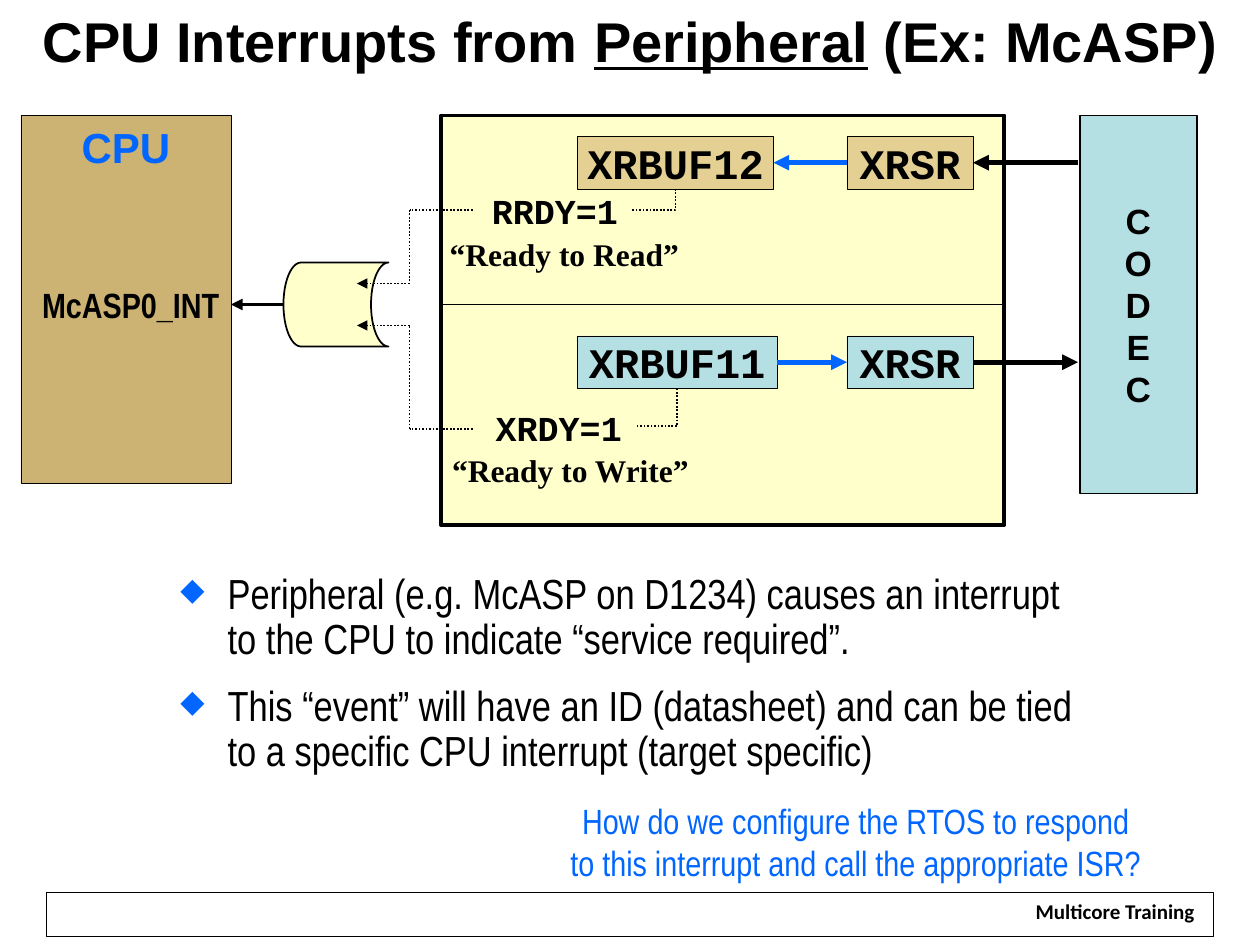
from pptx import Presentation, util as u
from pptx.dml.color import RGBColor
from pptx.enum import dml, shapes, text
from pptx.oxml.ns import qn
from lxml import etree

BLACK, BLUE, WHITE = "000000", "0066FF", "FFFFFF"
CREAM, TAN, SAND, AQUA = "FFFFCC", "CCB374", "E5D093", "B5E0E3"
CENTER, LEFT, RIGHT = (text.PP_ALIGN.CENTER, text.PP_ALIGN.LEFT,
                       text.PP_ALIGN.RIGHT)
TOP, MIDDLE = text.MSO_ANCHOR.TOP, text.MSO_ANCHOR.MIDDLE
KINDS = shapes.MSO_SHAPE


def color(hex_string):
    return RGBColor.from_string(hex_string)


def add_bullet(paragraph, indent):
    properties = paragraph._p.get_or_add_pPr()
    properties.set("marL", str(u.Pt(indent)))
    properties.set("indent", str(-u.Pt(indent)))
    bullet_color = etree.SubElement(properties, qn("a:buClr"))
    etree.SubElement(bullet_color, qn("a:srgbClr"), val=BLUE)
    etree.SubElement(properties, qn("a:buSzPct"), val="75000")
    etree.SubElement(properties, qn("a:buChar"), char="◆")


def write(frame, content, size=20, font="Arial", ink=BLACK, bold=True,
          align=CENTER, anchor=MIDDLE, wrap=False, insets=(7.2, 3.6),
          spacing=None, before=0, bullet_indent=None, underlined=None):
    """Fill a frame; content is a string or a list of paragraph strings."""
    frame.word_wrap = wrap
    frame.vertical_anchor = anchor
    frame.margin_left = frame.margin_right = u.Pt(insets[0])
    frame.margin_top = frame.margin_bottom = u.Pt(insets[1])
    lines = [content] if isinstance(content, str) else content
    for index, line in enumerate(lines):
        paragraph = frame.add_paragraph() if index else frame.paragraphs[0]
        paragraph.alignment = align
        if spacing:
            paragraph.line_spacing = spacing
        if index and before:
            paragraph.space_before = u.Pt(before)
        if bullet_indent:
            add_bullet(paragraph, bullet_indent)
        if underlined:
            for part in line.partition(underlined):
                run = paragraph.add_run()
                run.text = part
                run.font.underline = part == underlined
        else:
            paragraph.text = line
        for run in paragraph.runs:
            run.font.size = u.Pt(size)
            run.font.name = font
            run.font.bold = bold
            run.font.color.rgb = color(ink)


class Diagram:
    """Draws styled elements on one slide, with lengths in points."""

    def __init__(self, slide):
        self.shapes = slide.shapes

    def box(self, area, fill=None, line_width=0.25, content=None,
            kind=KINDS.RECTANGLE, **style):
        shape = self.shapes.add_shape(kind, *map(u.Pt, area))
        shape.shadow.inherit = False
        if fill:
            shape.fill.solid()
            shape.fill.fore_color.rgb = color(fill)
        else:
            shape.fill.background()
        if line_width:
            shape.line.color.rgb = color(BLACK)
            shape.line.width = u.Pt(line_width)
        else:
            shape.line.fill.background()
        if content:
            write(shape.text_frame, content, **style)
        return shape

    def label(self, area, content, **style):
        box = self.shapes.add_textbox(*map(u.Pt, area))
        write(box.text_frame, content, **style)

    def line(self, start, end, ink=BLACK, width=1.0, dotted=False,
             arrow=False, begin=None, finish=None,
             kind=shapes.MSO_CONNECTOR.STRAIGHT):
        """Draw a line; begin and finish are (shape, side) joints."""
        connector = self.shapes.add_connector(
            kind, *map(u.Pt, (*start, *end)))
        connector.line.color.rgb = color(ink)
        connector.line.width = u.Pt(width)
        if dotted:
            connector.line.dash_style = dml.MSO_LINE.ROUND_DOT
        if arrow:
            etree.SubElement(connector.line._get_or_add_ln(),
                             qn("a:tailEnd"), type="triangle")
        etree.SubElement(connector._element.spPr, qn("a:effectLst"))
        if begin:
            connector.begin_connect(*begin)
        if finish:
            connector.end_connect(*finish)
        return connector

    def corner(self, start, end):
        """Draw a dotted elbow that goes down from start, then left to end."""
        (right, top), (left, bottom) = start, end
        width, height = bottom - top, right - left
        x = (left + right - width) / 2
        y = (top + bottom - height) / 2
        connector = self.line((x, y), (x + width, y + height), dotted=True,
                              kind=shapes.MSO_CONNECTOR.ELBOW)
        properties = connector._element.spPr
        properties.find(qn("a:prstGeom")).set("prst", "bentConnector2")
        properties.find(qn("a:xfrm")).set("rot", "5400000")


def draw_register_row(diagram, y, name, width, fill, receiving):
    style = dict(size=24, font="Courier New")
    buffer = diagram.box((330, y, width, 30), fill, content=name, **style)
    shifter = diagram.box((484, y, 72, 30), fill, content="XRSR", **style)
    middle = y + 15
    buffer_end, shifter_end = (330 + width, middle), (484, middle)
    outer, codec = (556, middle), (616, middle)
    if receiving:
        diagram.line(shifter_end, buffer_end, BLUE, 3, arrow=True,
                     begin=(shifter, 1), finish=(buffer, 3))
        diagram.line(codec, outer, width=3, arrow=True, finish=(shifter, 3))
    else:
        diagram.line(buffer_end, shifter_end, BLUE, 3, arrow=True,
                     begin=(buffer, 3), finish=(shifter, 1))
        diagram.line(outer, codec, width=3, arrow=True, begin=(shifter, 3))


def main():
    presentation = Presentation()
    presentation.slide_width, presentation.slide_height = u.Pt(720), u.Pt(540)
    slide = presentation.slides.add_slide(presentation.slide_layouts[6])
    diagram = Diagram(slide)

    diagram.box((26.6, 509.8, 666.7, 25.2), line_width=0.75)
    diagram.box((583.9, 512.6, 106.6, 18.7), WHITE, 0, "Multicore Training",
                size=12, font="Calibri", anchor=TOP, spacing=0.8)
    diagram.label((0, 0, 720, 58), "CPU Interrupts from Peripheral (Ex: McASP)",
                  size=32, anchor=TOP, wrap=True, underlined="Peripheral")

    diagram.box((252, 66, 322, 234), CREAM, 2.25)
    diagram.line((252, 174), (574, 174), width=0.25, dotted=True)
    diagram.box((12, 66, 120, 210), TAN, content="CPU", size=24, ink=BLUE,
                anchor=TOP)
    diagram.box((617, 66, 67, 216), AQUA, 1, "C\nO\nD\nE\nC", wrap=True)
    diagram.label((16.5, 158.5, 116, 31), "McASP0_INT", font="Arial Narrow",
                  align=RIGHT)

    draw_register_row(diagram, 78, "XRBUF12", 112, SAND, receiving=True)
    draw_register_row(diagram, 192, "XRBUF11", 114, AQUA, receiving=False)

    flags = dict(font="Courier New", insets=(7.2, 0))
    quotes = dict(size=18, font="Times New Roman", insets=(0, 0))
    diagram.label((273.6, 108, 87, 24.5), "RRDY=1", **flags)
    diagram.label((257, 134.6, 131, 21.6), "“Ready to Read”", **quotes)
    diagram.label((275.8, 232, 87, 24.5), "XRDY=1", **flags)
    diagram.label((258, 258, 136, 21.6), "“Ready to Write”", **quotes)
    diagram.corner((386, 108), (361, 120))
    diagram.corner((387, 222), (363, 243.5))

    gate = diagram.box((162, 150, 60, 48), CREAM, 1,
                       kind=KINDS.FLOWCHART_STORED_DATA)
    for flag_y, input_y in ((120, 162), (245, 186)):
        diagram.line((270, flag_y), (234, flag_y), dotted=True)
        diagram.line((234, flag_y), (234, input_y), dotted=True)
        diagram.line((234, input_y), (204, input_y), dotted=True, arrow=True)
    diagram.line((162, 174), (132, 174), width=2.25, arrow=True,
                 begin=(gate, 1))

    diagram.label(
        (96, 324, 524, 127),
        ["Peripheral (e.g. McASP on D1234) causes an interrupt to the CPU "
         "to indicate “service required”.",
         "This “event” will have an ID (datasheet) and can be tied to a "
         "specific CPU interrupt (target specific)"],
        size=24, font="Arial Narrow", bold=False, align=LEFT, anchor=TOP,
        wrap=True, spacing=0.9, before=12, bullet_indent=27)
    diagram.label(
        (322.5, 457, 333, 48),
        "How do we configure the RTOS to respond\n"
        "to this interrupt and call the appropriate ISR?",
        font="Arial Narrow", ink=BLUE, bold=False, insets=(0, 0))

    presentation.save("out.pptx")


if __name__ == "__main__":
    main()
